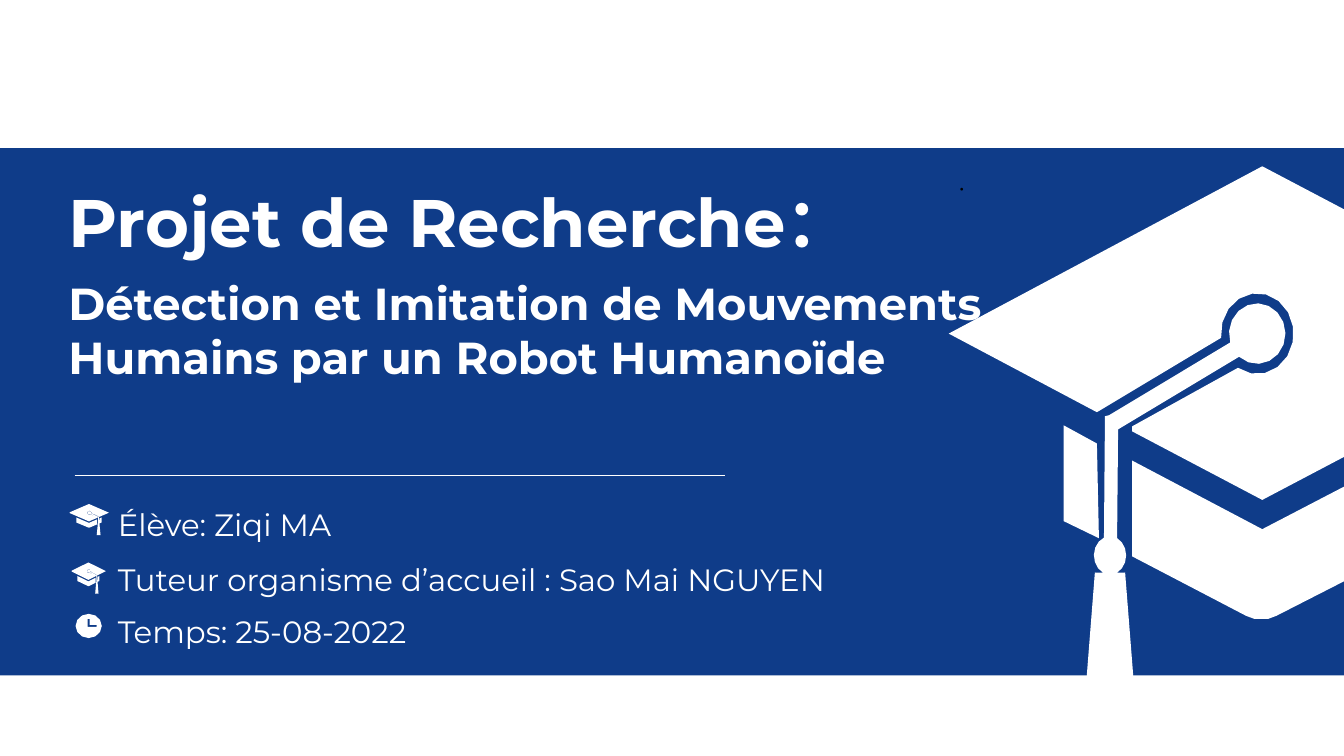
from math import ceil, cos, radians, sin

from pptx import Presentation
from pptx.dml.color import RGBColor
from pptx.enum.shapes import MSO_CONNECTOR, MSO_SHAPE
from pptx.enum.text import MSO_ANCHOR, MSO_AUTO_SIZE, PP_ALIGN
from pptx.oxml import parse_xml
from pptx.util import Inches, Pt

TITLE = "Projet de Recherche："
SUBTITLE = "Détection et Imitation de Mouvements Humains par un Robot Humanoïde"
PEOPLE = ["Élève: Ziqi MA", "Tuteur organisme d’accueil : Sao Mai NGUYEN"]
DATE = "Temps: 25-08-2022"
CAP_MARK = "·"

BAND = (0, 1.47, 13.33, 5.23)
TITLE_BOX = (0.58, 1.74, 9.5, 2.68)
PEOPLE_BOX = (1.07, 4.78, 8.1, 1.71)
DATE_BOX = (1.07, 5.85, 6.7, 0.6)
RULE = (0.74, 4.72, 7.19, 4.72)

CAP_FRAME = (9.41, 1.65, 6.13, 5.94)
SMALL_CAPS = [(0.69, 5, 0.39, 0.31), (0.71, 5.58, 0.34, 0.31)]

CAP = [
    [(10.9, 5.34), (10.55, 5.17), (10.55, 4.22), (10.88, 4.4)],
    [(14.5, 4.22), (14.5, 5.17), (12.66, 6.11), (12.58, 6.14),
     (12.44, 6.14), (12.36, 6.11), (11.23, 5.52), (11.23, 4.57), (12.52, 5.25)],
    [(10.96, 4.13), (11, 4.12),
     {"centre": (12.47, 3.31), "radii": (0.28, 0.3), "angles": (163, 490)},
     (11.09, 4.26)],
    [(9.41, 3.31), (12.52, 1.65), (15.54, 3.24), (15.54, 3.37), (12.52, 4.96),
     (11.23, 4.28), (11.23, 4.23),
     {"centre": (12.47, 3.31), "radii": (0.36, 0.4), "angles": (122, -186)},
     (10.88, 4.09)],
    [(10.96, 4.13),
     {"centre": (11.01, 5.51), "radii": (0.16, 0.19), "angles": (248, 116)},
     (10.86, 5.68), (10.71, 7.59), (11.31, 7.59), (11.16, 5.68),
     {"centre": (11.01, 5.51), "radii": (0.16, 0.19), "angles": (64, -64)},
     (11.09, 4.26)],
]
CLOCK = [
    [{"centre": (0.88, 6.21), "radii": (0.13, 0.12), "angles": (330, 0)}],
    [(0.96, 6.22), (0.87, 6.22), (0.87, 6.14), (0.89, 6.14), (0.89, 6.2), (0.96, 6.2)],
]

THEME = {
    "font": "Montserrat",
    "blue": RGBColor(0x0F, 0x3C, 0x89),
    "white": RGBColor(0xFF, 0xFF, 0xFF),
    "black": RGBColor(0, 0, 0),
    "title": Pt(48),
    "subtitle": Pt(32),
    "detail": Pt(22),
    "mark": Pt(18),
    "rule": Pt(0.5),
}
LARGE_TURN, SMALL_TURN, CLOCK_TURN = 22, 60, 30
EFFECTS = '<a:effectLst xmlns:a="http://schemas.openxmlformats.org/drawingml/2006/main"/>'


def arc_points(arc, turn):
    (cx, cy), (rx, ry), (start, end) = arc.values()
    steps = ceil(abs(end - start) / turn)
    angles = [radians(start + (end - start) * step / steps) for step in range(steps + 1)]
    return [(cx + rx * cos(angle), cy + ry * sin(angle)) for angle in angles]


def corners(outlines, turn):
    return [[point for part in outline
             for point in (arc_points(part, turn) if isinstance(part, dict) else [part])]
            for outline in outlines]


def paint(shape, color):
    shape.shadow.inherit = False
    shape.fill.solid()
    shape.fill.fore_color.rgb = color
    shape.line.fill.background()
    return shape


def draw(slide, outlines):
    contours = [[(Inches(x), Inches(y)) for x, y in points] for points in outlines]
    builder = slide.shapes.build_freeform(*contours[0][0])
    for number, points in enumerate(contours):
        if number:
            builder.move_to(*points[0])
        builder.add_line_segments(points[1:], close=True)
    return paint(builder.convert_to_shape(), THEME["white"])


def mirrored(outlines, frame):
    left, top, width, height = frame
    cap_left, cap_top, cap_width, cap_height = CAP_FRAME
    return [[(left + width * (1 - (x - cap_left) / cap_width),
              top + height * (y - cap_top) / cap_height) for x, y in points]
            for points in outlines]


def write(paragraph, text, size, color="white", bold=False):
    paragraph.text = text
    paragraph.alignment = PP_ALIGN.LEFT
    formats = {"name": THEME["font"], "size": THEME[size], "bold": bold}
    for key, value in formats.items():
        setattr(paragraph.font, key, value)
    paragraph.font.color.rgb = THEME[color]


def add_text(slide, box, lines, size, **formats):
    frame = slide.shapes.add_textbox(*map(Inches, box)).text_frame
    frame.word_wrap = True
    frame.auto_size = MSO_AUTO_SIZE.SHAPE_TO_FIT_TEXT
    for number, line in enumerate(lines):
        paragraph = frame.add_paragraph() if number else frame.paragraphs[0]
        write(paragraph, line, size, **formats)
        if size == "detail":
            paragraph.line_spacing = 1.5
    return frame


def main():
    deck = Presentation()
    deck.slide_width, deck.slide_height = Inches(13.33), Inches(7.5)
    slide = deck.slides.add_slide(deck.slide_layouts[6])

    band = slide.shapes.add_shape(MSO_SHAPE.RECTANGLE, *map(Inches, BAND))
    paint(band, THEME["blue"])

    heading = add_text(slide, TITLE_BOX, [TITLE], "title", bold=True)
    subtitle = heading.add_paragraph()
    write(subtitle, SUBTITLE, "subtitle", bold=True)
    subtitle.space_before = Pt(10.5)

    rule = slide.shapes.add_connector(MSO_CONNECTOR.STRAIGHT, *map(Inches, RULE))
    rule.line.color.rgb = THEME["white"]
    rule.line.width = THEME["rule"]
    rule._element.spPr.append(parse_xml(EFFECTS))

    cap = draw(slide, corners(CAP, LARGE_TURN))
    cap.text_frame.vertical_anchor = MSO_ANCHOR.TOP
    write(cap.text_frame.paragraphs[0], CAP_MARK, "mark", color="black")

    add_text(slide, PEOPLE_BOX, PEOPLE, "detail")
    add_text(slide, DATE_BOX, [DATE], "detail")
    for frame in SMALL_CAPS:
        draw(slide, mirrored(corners(CAP, SMALL_TURN), frame))
    draw(slide, corners(CLOCK, CLOCK_TURN))

    deck.save("out.pptx")


if __name__ == "__main__":
    main()
